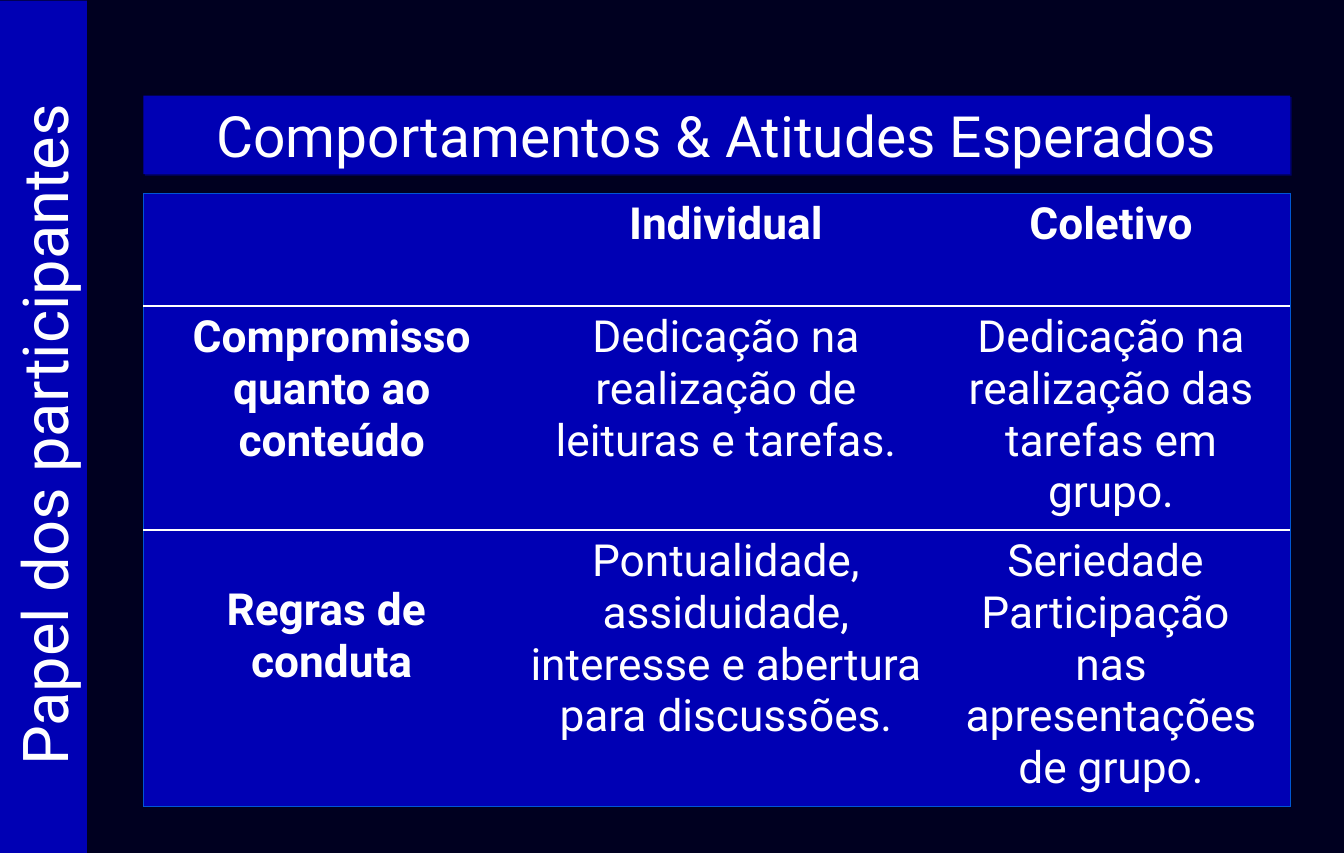
"""Slide on the expected behaviours and attitudes of the participants."""
import pptx
import pptx.dml.color
import pptx.enum.shapes
import pptx.enum.text
import pptx.oxml
import pptx.oxml.ns
import pptx.util
from lxml import etree

Inches = pptx.util.Inches
Pt = pptx.util.Pt
RGB = pptx.dml.color.RGBColor.from_string
ALIGN = pptx.enum.text.PP_ALIGN
COLORS = {"background": "000020", "panel": "0000B4", "text": "FFFFFF",
          "frame": "0056D4", "shadow": "00006B"}
FONT = "Roboto"


def write(frame, text, size, bold=False):
    frame.text = text
    frame.word_wrap = True
    for paragraph in frame.paragraphs:
        paragraph.alignment = ALIGN.CENTER
        for run in paragraph.runs:
            run.font.name = FONT
            run.font.size = Pt(size)
            run.font.bold = bold
            run.font.color.rgb = RGB(COLORS["text"])


def add_band(left, top, width, height, text, size):
    band = slide.shapes.add_shape(pptx.enum.shapes.MSO_SHAPE.RECTANGLE, Inches(left),
                                  Inches(top), Inches(width), Inches(height))
    band.shadow.inherit = False
    band.fill.solid()
    band.fill.fore_color.rgb = RGB(COLORS["panel"])
    band.line.fill.background()
    frame = band.text_frame
    frame.margin_left = frame.margin_right = Inches(0.09)
    frame.margin_top = frame.margin_bottom = Inches(0.05)
    write(frame, text, size)
    return band


deck = pptx.Presentation()
deck.slide_width = Inches(11.8125)
deck.slide_height = Inches(7.5)
slide = deck.slides.add_slide(deck.slide_layouts[6])
slide.background.fill.solid()
slide.background.fill.fore_color.rgb = RGB(COLORS["background"])

role = add_band(-3.37, 3.37, 7.5, 0.77, "Papel dos participantes ", 40)
role.rotation = 270

contents = [
    ["", "Individual", "Coletivo"],
    ["Compromisso\nquanto ao conteúdo",
     "Dedicação na realização de leituras e tarefas.",
     "Dedicação na realização das tarefas em grupo."],
    ["Regras de \nconduta",
     "Pontualidade, assiduidade, interesse e abertura para discussões.",
     "Seriedade \nParticipação \nnas apresentações de grupo."],
]
column_widths = [3.31, 3.62, 3.15]
row_heights = [0.99, 1.97, 2.43]
expectations = slide.shapes.add_table(
    3, 3, Inches(1.26), Inches(1.7), Inches(sum(column_widths)),
    Inches(sum(row_heights))).table
for column, width in zip(expectations.columns, column_widths):
    column.width = Inches(width)
for row, height in zip(expectations.rows, row_heights):
    row.height = Inches(height)

frame_line = ("frame", 0.45)
divider = ("text", 1.47)
for r, texts in enumerate(contents):
    for c, text in enumerate(texts):
        cell = expectations.cell(r, c)
        cell.margin_left = cell.margin_right = Inches(0.09)
        cell.margin_top = cell.margin_bottom = Inches(0.05)
        write(cell.text_frame, text, 28, bold=r == 0 or c == 0)
        cell.fill.solid()
        cell.fill.fore_color.rgb = RGB(COLORS["panel"])
        borders = {
            "lnL": frame_line if c == 0 else None,
            "lnR": frame_line if c == 2 else None,
            "lnT": frame_line if r == 0 else divider,
            "lnB": frame_line if r == 2 else divider,
        }
        properties = cell._tc.get_or_add_tcPr()
        for position, (side, border) in enumerate(borders.items()):
            line = etree.Element(pptx.oxml.ns.qn("a:" + side))
            if border:
                color, width = border
                line.set("w", str(int(Pt(width))))
                fill = etree.SubElement(line, pptx.oxml.ns.qn("a:solidFill"))
                etree.SubElement(fill, pptx.oxml.ns.qn("a:srgbClr"), val=COLORS[color])
            else:
                etree.SubElement(line, pptx.oxml.ns.qn("a:noFill"))
            properties.insert(position, line)
expectations.cell(2, 0).margin_top = Inches(0.48)

heading = add_band(1.26, 0.84, 10.08, 0.69, "Comportamentos & Atitudes Esperados", 36)
effects = heading._element.spPr.find(pptx.oxml.ns.qn("a:effectLst"))
shadow = etree.SubElement(effects, pptx.oxml.ns.qn("a:outerShdw"),
                          dist=str(int(Pt(1.4))), dir="2700000")
etree.SubElement(shadow, pptx.oxml.ns.qn("a:srgbClr"), val=COLORS["shadow"])

deck.save("out.pptx")
